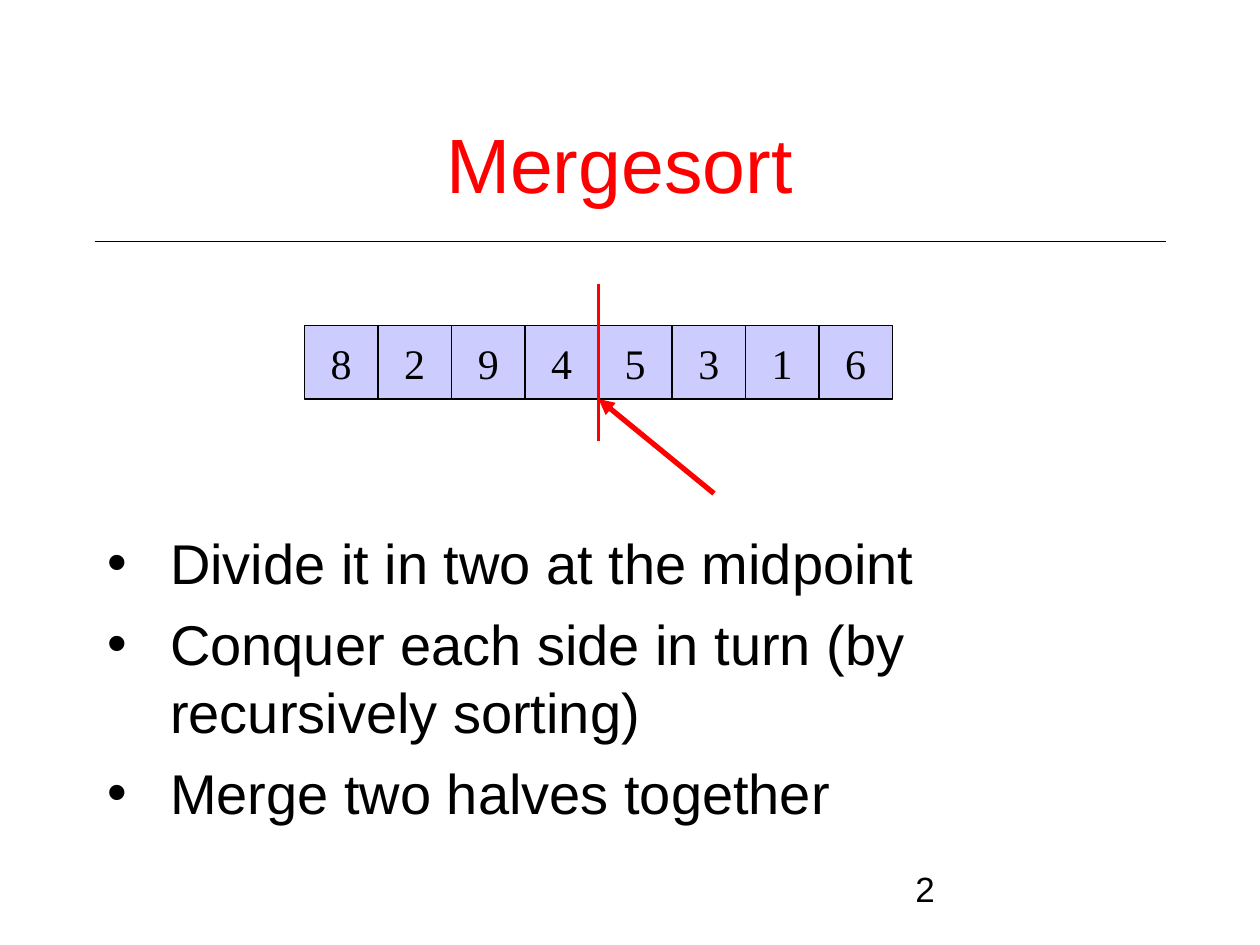
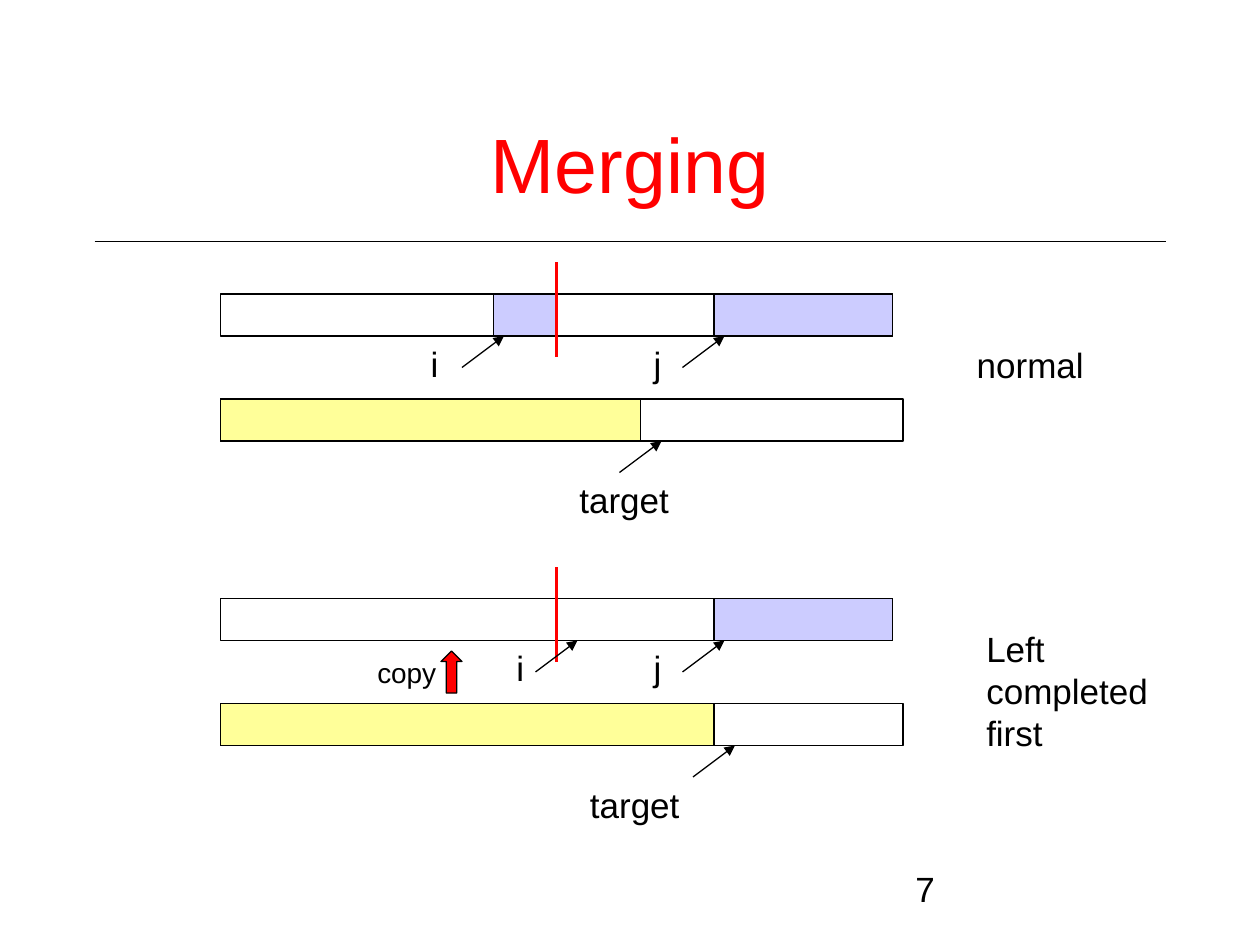
from pptx import Presentation
from pptx.dml.color import RGBColor
from pptx.enum.shapes import MSO_CONNECTOR, MSO_SHAPE
from pptx.enum.text import MSO_ANCHOR, MSO_AUTO_SIZE, PP_ALIGN
from pptx.oxml.ns import qn
from pptx.util import Pt
from lxml.etree import SubElement

BLACK, RED, BLUE, YELLOW = "000000", "FF0000", "CCCCFF", "FFFF99"
SANS, SERIF = "Arial", "Times New Roman"


def rgb(color):
    """Turn a hex string into a colour."""
    return RGBColor.from_string(color)


class Deck:
    """Hold the shared style and the current slide."""

    def __init__(self):
        """Start an empty 10 by 7.5 inch presentation."""
        self.prs = Presentation()
        self.prs.slide_width, self.prs.slide_height = Pt(720), Pt(540)
        self.s = None

    def slide(self, layout, title, number, title_left=54):
        """Add a slide with its title, rule and page number."""
        self.s = self.prs.slides.add_slide(self.prs.slide_layouts[layout])
        self.line(54, 138, 666, 138)
        self.label([str(number)], 516, 492, 150, 36)
        sp = self.s.shapes.title
        self.place(sp, title_left, 48, 612, 90)
        tf = sp.text_frame
        tf.auto_size = MSO_AUTO_SIZE.NONE
        tf.vertical_anchor = MSO_ANCHOR.MIDDLE
        p = tf.paragraphs[0]
        p.alignment = PP_ALIGN.CENTER
        self.run(p, title, 44, RED)

    def place(self, sp, x, y, w, h):
        """Move and size a shape."""
        sp.left, sp.top, sp.width, sp.height = Pt(x), Pt(y), Pt(w), Pt(h)

    def run(self, p, text, size, color=BLACK, font=SANS):
        """Add one formatted run to a paragraph."""
        r = p.add_run()
        r.text = text
        r.font.size, r.font.name = Pt(size), font
        r.font.color.rgb = rgb(color)

    def bullets(self, items, x, y, w, h):
        """Fill the body placeholder with a bulleted list."""
        sp = self.s.placeholders[1]
        self.place(sp, x, y, w, h)
        tf = sp.text_frame
        tf.auto_size = MSO_AUTO_SIZE.NONE
        for i, item in enumerate(items):
            p = tf.add_paragraph() if i else tf.paragraphs[0]
            p.space_before = Pt(8 if i else 0)
            pPr = p._p.get_or_add_pPr()
            pPr.set("marL", str(Pt(36)))
            pPr.set("indent", str(-Pt(36)))
            self.run(p, item, 32)

    def label(self, lines, x, y, w, h=32, size=20):
        """Add a text box that holds one paragraph per line."""
        tf = self.s.shapes.add_textbox(Pt(x), Pt(y), Pt(w), Pt(h)).text_frame
        tf.word_wrap = False
        for i, text in enumerate(lines):
            p = tf.add_paragraph() if i else tf.paragraphs[0]
            self.run(p, text, size)

    def box(self, x, y, w, h, fill=None, text=None, kind=MSO_SHAPE.RECTANGLE):
        """Add an outlined shape, filled and lettered on request."""
        sp = self.s.shapes.add_shape(kind, Pt(x), Pt(y), Pt(w), Pt(h))
        sp.shadow.inherit = False
        sp.line.color.rgb, sp.line.width = rgb(BLACK), Pt(0.75)
        if fill:
            sp.fill.solid()
            sp.fill.fore_color.rgb = rgb(fill)
        else:
            sp.fill.background()
        if text:
            tf = sp.text_frame
            tf.word_wrap = False
            tf.vertical_anchor = MSO_ANCHOR.MIDDLE
            p = tf.paragraphs[0]
            p.alignment = PP_ALIGN.CENTER
            self.run(p, text, 24, font=SERIF)

    def line(self, x1, y1, x2, y2, color=BLACK, width=0.75, arrow=False):
        """Add a straight line, with an arrowhead at its end on request."""
        sp = self.s.shapes.add_connector(
            MSO_CONNECTOR.STRAIGHT, Pt(x1), Pt(y1), Pt(x2), Pt(y2))
        sp.line.color.rgb, sp.line.width = rgb(color), Pt(width)
        if arrow:
            SubElement(sp.line._get_or_add_ln(), qn("a:tailEnd"), type="triangle")
        SubElement(sp._element.spPr, qn("a:effectLst"))

    def pointer(self, x, y):
        """Add a short arrow that rises to the given point."""
        self.line(x - 24, y + 18, x, y, arrow=True)

    def merge_state(self, y, unread, done, i_tip, i_left, target_tip, target_left):
        """Draw the two source halves above the partly filled target."""
        left, mid, bar, target_y = 126, 318, 24, y + 60
        self.box(left, target_y, done, bar, YELLOW)
        self.box(left, target_y, 390, bar)
        for x in (left, mid):
            self.box(x, y, mid - left, bar)
        for x, w in unread:
            self.box(x, y, w, bar, BLUE)
        self.line(mid, y - 18, mid, y + 36, RED, 1.5)
        for tip in (i_tip, 414):
            self.pointer(tip, y + bar)
        self.pointer(target_tip, target_y + bar)
        self.label(["i"], i_left, y + bar, 18.7)
        self.label(["j"], 366.5, y + bar, 18.7)
        self.label(["target"], target_left, y + 102, 65.5)


def main():
    """Build both slides and save them."""
    deck = Deck()

    deck.slide(1, "Mergesort", 2, title_left=48)
    deck.bullets(["Divide it in two at the midpoint",
                  "Conquer each side in turn (by recursively sorting)",
                  "Merge two halves together"], 54, 298.5, 612, 181.5)
    deck.line(408, 282, 342, 228, RED, 3, arrow=True)
    for i, value in enumerate("82945316"):
        deck.box(174 + 42 * i, 186, 42, 42, BLUE, value)
    deck.line(342, 162, 342, 252, RED, 2.25)

    deck.slide(5, "Merging", 7)
    right_rest = (408, 102)
    deck.merge_state(168, [(282, 36), right_rest], 240, 288, 239, 378, 324)
    deck.label(["normal"], 551, 193, 75.5)
    deck.merge_state(342, [right_rest], 282, 330, 288, 420, 330)
    deck.label(["Left completed", "first"], 556.5, 355, 145.5, 55.5)
    deck.box(252, 372, 12, 24, RED, kind=MSO_SHAPE.UP_ARROW)
    deck.label(["copy"], 208.5, 371, 48.5, 26.5, 16)

    deck.prs.save("out.pptx")


if __name__ == "__main__":
    main()
